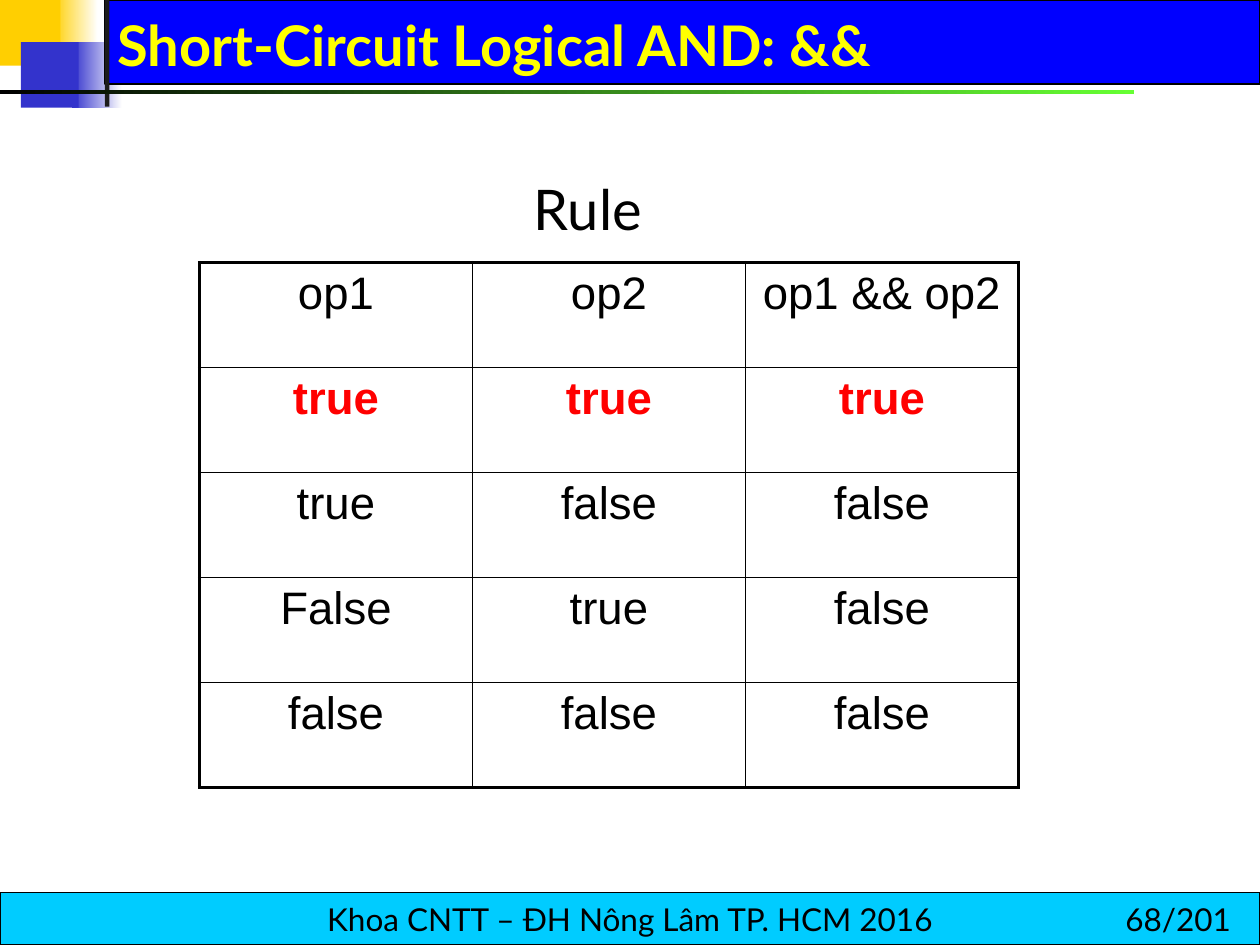
from lxml import etree
from pptx import Presentation
from pptx.dml.color import RGBColor
from pptx.enum import shapes, text
from pptx.oxml import ns
from pptx.util import Pt

BLACK = RGBColor(0, 0, 0)
WHITE = RGBColor(255, 255, 255)
RED = RGBColor(255, 0, 0)
YELLOW = RGBColor(255, 255, 0)
GOLD = RGBColor(0xFF, 0xCF, 0x01)
INDIGO = RGBColor(0x33, 0x33, 0xCC)
BLUE = RGBColor(0, 0, 255)
COAL = RGBColor(0x1C, 0x1C, 0x1C)
LIME = RGBColor(0x66, 0xFF, 0x33)
CYAN = RGBColor(0, 0xCC, 0xFF)

CENTER = text.PP_ALIGN.CENTER
LEFT = text.PP_ALIGN.LEFT
TOP = text.MSO_ANCHOR.TOP
MIDDLE = text.MSO_ANCHOR.MIDDLE
BOTTOM = text.MSO_ANCHOR.BOTTOM

ROWS = [
    ("op1", "op2", "op1 && op2"),
    ("true", "true", "true"),
    ("true", "false", "false"),
    ("False", "true", "false"),
    ("false", "false", "false"),
]


def write(frame, words, size=18, font="Lato", color=BLACK, bold=False,
          align=LEFT, anchor=TOP, wrap=True):
    frame.word_wrap = wrap
    frame.vertical_anchor = anchor
    para = frame.paragraphs[0]
    para.alignment = align
    run = para.add_run()
    run.text = words
    run.font.size = Pt(size)
    run.font.name = font
    run.font.bold = bold
    run.font.color.rgb = color


def label(slide, box, words, **style):
    item = slide.shapes.add_textbox(*map(Pt, box))
    write(item.text_frame, words, **style)


def block(slide, box, color, fade=None, edge=None, width=0.75):
    item = slide.shapes.add_shape(shapes.MSO_SHAPE.RECTANGLE, *map(Pt, box))
    item.shadow.inherit = False
    if fade is None:
        item.fill.solid()
        item.fill.fore_color.rgb = color
    else:
        item.fill.gradient()
        item.fill.gradient_angle = 0
        for stop, tone in zip(item.fill.gradient_stops, (color, fade)):
            stop.color.rgb = tone
    if edge is None:
        item.line.fill.background()
    else:
        item.line.color.rgb = edge
        item.line.width = Pt(width)
    return item


def clear_end(item):
    tone = item.fill._xPr.findall(".//" + ns.qn("a:srgbClr"))[-1]
    etree.SubElement(tone, ns.qn("a:alpha"), val="0")


def border(cell, side, width):
    props = cell._tc.get_or_add_tcPr()
    line = etree.SubElement(props, ns.qn("a:ln" + side), w=str(Pt(width)))
    fill = etree.SubElement(line, ns.qn("a:solidFill"))
    etree.SubElement(fill, ns.qn("a:srgbClr"), val=str(BLACK))


def grid(slide, box, rows):
    tall, wide = len(rows), len(rows[0])
    table = slide.shapes.add_table(tall, wide, *map(Pt, box)).table
    table.first_row = False
    table.horz_banding = False
    for r, row in enumerate(rows):
        for c, words in enumerate(row):
            cell = table.cell(r, c)
            outer = {"L": c == 0, "R": c == wide - 1,
                     "T": r == 0, "B": r == tall - 1}
            for side, thick in outer.items():
                border(cell, side, 2.25 if thick else 1)
            cell.fill.background()
            hot = r == 1
            write(cell.text_frame, words, size=26, font="Arial", bold=hot,
                  color=RED if hot else BLACK, align=CENTER)


def frame(slide):
    block(slide, (30, 0, 26, 37.5), GOLD, fade=WHITE)
    block(slide, (41, 24, 29, 37.5), INDIGO, fade=WHITE)
    block(slide, (60, 0, 660, 48), BLUE, edge=BLACK)
    block(slide, (0, 0, 34.5, 37.5), GOLD)
    block(slide, (12, 24, 33, 37.5), INDIGO)
    block(slide, (60, 0, 2.5, 61), COAL)
    clear_end(block(slide, (0, 51.5, 648, 2.5), BLACK, fade=LIME,
                    edge=LIME, width=0))
    foot = block(slide, (0, 510, 720, 30), CYAN, edge=BLACK)
    write(foot.text_frame, "Khoa CNTT – ĐH Nông Lâm TP. HCM 2016",
          align=CENTER, anchor=MIDDLE, wrap=False)
    label(slide, (636, 511, 84, 29), "68/201")


def main():
    deck = Presentation()
    deck.slide_width, deck.slide_height = Pt(720), Pt(540)
    slide = deck.slides.add_slide(deck.slide_layouts[6])
    frame(slide)
    label(slide, (60, 6, 644, 42), "Short-Circuit Logical AND: &&",
          size=32, color=YELLOW, bold=True, anchor=BOTTOM)
    grid(slide, (114, 150, 468, 300), ROWS)
    label(slide, (228, 96, 216, 45.5), "Rule", size=32, align=CENTER)
    deck.save("out.pptx")


if __name__ == "__main__":
    main()
